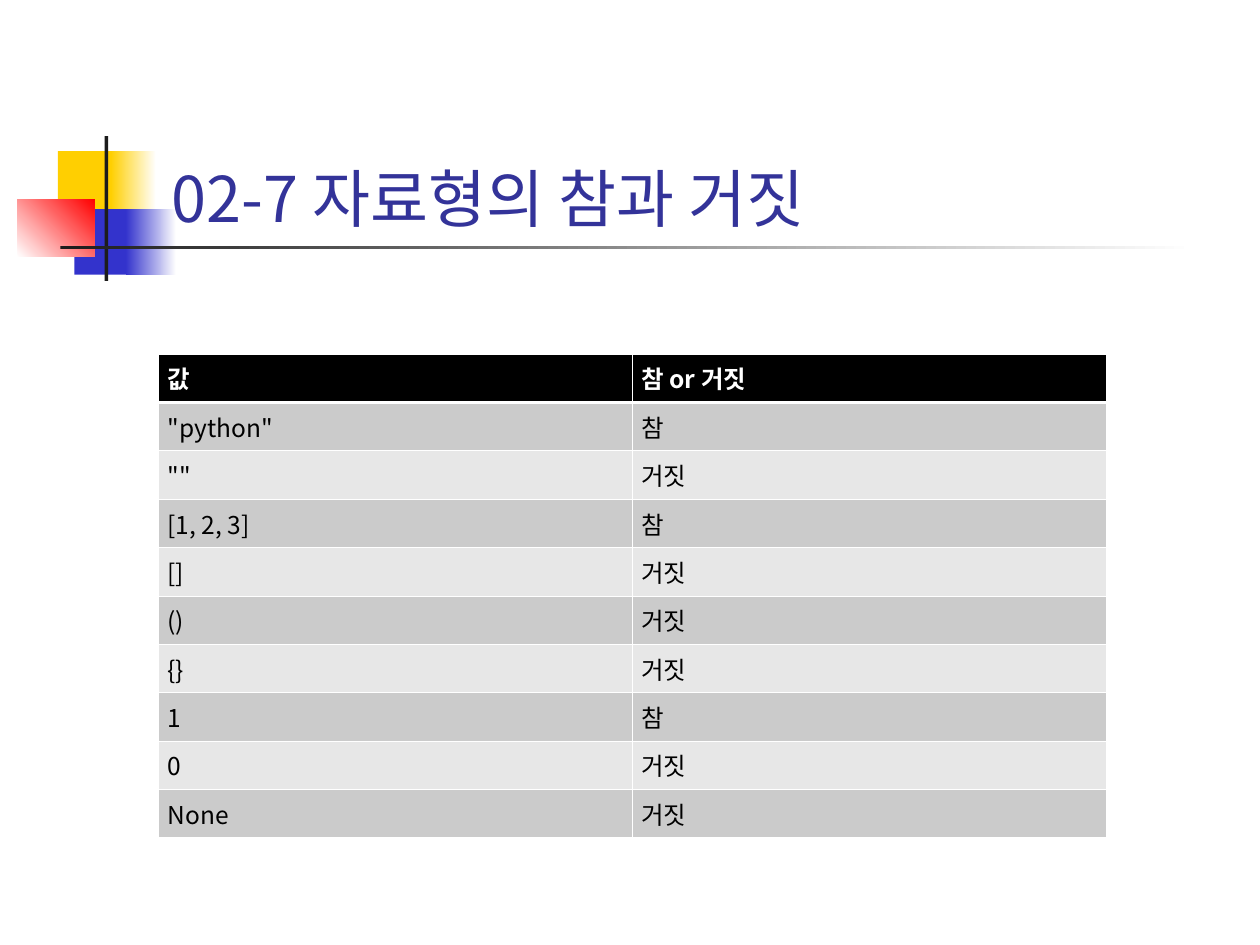
from lxml.etree import SubElement
from pptx import Presentation
from pptx.dml.color import RGBColor
from pptx.enum.shapes import MSO_SHAPE
from pptx.enum.text import MSO_ANCHOR, MSO_AUTO_SIZE, PP_ALIGN
from pptx.oxml.ns import qn
from pptx.util import Inches, Pt

FONT = "Noto Sans CJK KR"
COLORS = {
    "yellow": "FFCF01", "blue": "3333CC", "red": "FF0000", "ink": "1C1C1C",
    "white": "FFFFFF", "black": "000000", "title": "333399",
    "odd": "CBCBCB", "even": "E7E7E7",
}
LEFT = 1.26
TABLE_TOP, COL_W, ROW_H = 2.81, 3.76, 0.36
THIN, THICK = 0.45, 1.47

# left, top, width, height, fill colours, gradient angle
ORNAMENT = [
    (0.46, 1.2, 0.48, 0.52, ["yellow"], 0),
    (0.88, 1.2, 0.36, 0.52, ["yellow", "white"], 0),
    (0.59, 1.66, 0.46, 0.52, ["blue"], 0),
    (1, 1.66, 0.4, 0.52, ["blue", "white"], 0),
    (0.14, 1.58, 0.61, 0.46, ["white", "red"], 45),
    (0.83, 1.08, 0.03, 1.15, ["ink"], 0),
    (0.48, 1.95, 9, 0.03, ["ink", "white"], 0),
]
ROWS = [
    ("값", "참 or 거짓"),
    ('"python"', "참"),
    ('""', "거짓"),
    ("[1, 2, 3]", "참"),
    ("[]", "거짓"),
    ("()", "거짓"),
    ("{}", "거짓"),
    ("1", "참"),
    ("0", "거짓"),
    ("None", "거짓"),
]


def rgb(name):
    return RGBColor.from_string(COLORS[name])


def set_text(tf, text, size, color, bold=False):
    tf.text = text
    p = tf.paragraphs[0]
    p.alignment = PP_ALIGN.LEFT
    font = p.runs[0].font
    font.size, font.bold, font.name = Pt(size), bold, FONT
    font.color.rgb = rgb(color)
    SubElement(p.runs[0]._r.rPr, qn("a:ea"), typeface=FONT)


def add_block(s, left, top, width, height, colors, angle):
    """Add a borderless rectangle, shaded when two colours are given."""
    box = map(Inches, (left, top, width, height))
    sp = s.shapes.add_shape(MSO_SHAPE.RECTANGLE, *box)
    sp.shadow.inherit = False
    sp.line.fill.background()
    if len(colors) == 1:
        sp.fill.solid()
        sp.fill.fore_color.rgb = rgb(colors[0])
        return
    sp.fill.gradient()
    sp.fill.gradient_angle = angle
    for stop, color, position in zip(sp.fill.gradient_stops, colors, (0, 1)):
        stop.color.rgb = rgb(color)
        stop.position = position


def format_title(s, text):
    title = s.shapes.title
    title.left, title.top = Inches(LEFT), Inches(0.67)
    title.width, title.height = Inches(7.91), Inches(1.25)
    tf = title.text_frame
    tf.auto_size = MSO_AUTO_SIZE.NONE
    tf.vertical_anchor = MSO_ANCHOR.BOTTOM
    set_text(tf, text, 36, "title")
    s.shapes._spTree.append(title._element)  # in front of the ornament


def set_borders(cell, top, bottom):
    tc_pr = cell._tc.get_or_add_tcPr()
    widths = {"lnL": THIN, "lnR": THIN, "lnT": top, "lnB": bottom}
    for i, (tag, width) in enumerate(widths.items()):
        ln = SubElement(tc_pr, qn(f"a:{tag}"), w=str(Pt(width)))
        fill = SubElement(ln, qn("a:solidFill"))
        SubElement(fill, qn("a:srgbClr"), val=COLORS["white"])
        tc_pr.insert(i, ln)  # borders come before the fill


def add_truth_table(s):
    n_rows, n_cols = len(ROWS), len(ROWS[0])
    frame = s.shapes.add_table(
        n_rows, n_cols, Inches(LEFT), Inches(TABLE_TOP),
        Inches(COL_W * n_cols), Inches(ROW_H * n_rows))
    table = frame.table
    for i, values in enumerate(ROWS):
        table.rows[i].height = Inches(ROW_H)
        header = i == 0
        fill = "black" if header else "odd" if i % 2 else "even"
        for j, value in enumerate(values):
            cell = table.cell(i, j)
            cell.margin_left = cell.margin_right = Inches(0.07)
            cell.margin_top = cell.margin_bottom = Inches(0.05)
            cell.fill.solid()
            cell.fill.fore_color.rgb = rgb(fill)
            set_borders(cell, THICK if i == 1 else THIN, THICK if header else THIN)
            set_text(cell.text_frame, value, 14,
                     "white" if header else "black", header)


def main():
    prs = Presentation()
    prs.slide_width, prs.slide_height = Inches(10), Inches(7.5)
    s = prs.slides.add_slide(prs.slide_layouts[5])
    for block in ORNAMENT:
        add_block(s, *block)
    format_title(s, "02-7 자료형의 참과 거짓")
    add_truth_table(s)
    prs.save("out.pptx")


if __name__ == "__main__":
    main()
